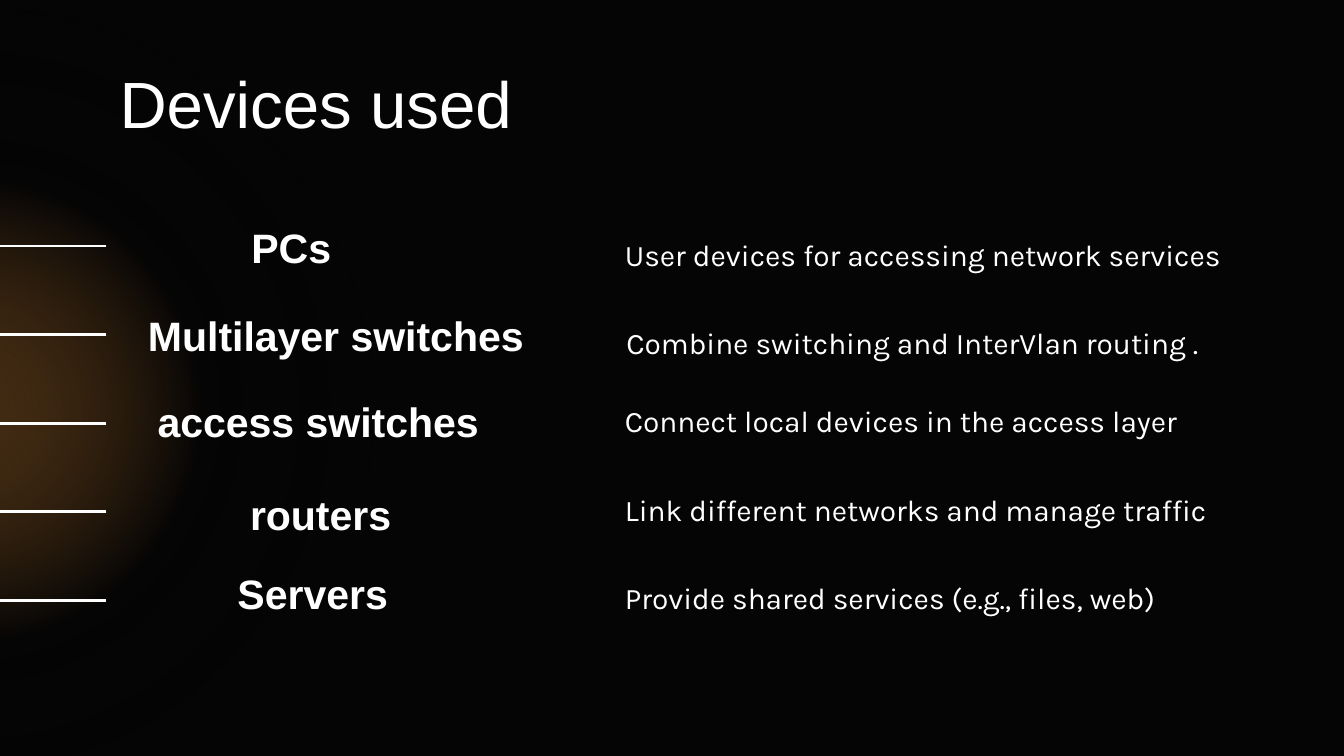
from dataclasses import dataclass

from lxml import etree
from pptx import Presentation
from pptx import util as u
from pptx.dml.color import RGBColor
from pptx.enum import shapes, text
from pptx.oxml.ns import qn


@dataclass(frozen=True)
class Theme:
    background: str = "050505"
    ink: str = "FFFFFF"
    heading_font: str = "Arial"
    body_font: str = "Karla"
    title_size: int = 35
    name_size: int = 22
    note_size: int = 16
    line_width: float = 1.5
    inset: float = 0.25
    # Position, colour and opacity, all in percent where numeric
    glow: tuple = ((0, "E69138", 27), (41, "050505", 54),
                   (78, "050505", 0), (100, "050505", 0))


class DeckBuilder:
    def __init__(self, theme, width, height):
        self.theme = theme
        self.deck = Presentation()
        self.deck.slide_width, self.deck.slide_height = u.Cm(width), u.Cm(height)
        self.page = self.deck.slides.add_slide(self.deck.slide_layouts[6])
        fill = self.page.background.fill
        fill.solid()
        fill.fore_color.rgb = RGBColor.from_string(theme.background)

    def glow(self, left, top, size):
        """Circle with a radial gradient that fades to transparent."""
        circle = self.page.shapes.add_shape(
            shapes.MSO_SHAPE.OVAL, u.Cm(left), u.Cm(top), u.Cm(size), u.Cm(size))
        circle.shadow.inherit = False
        circle.line.fill.background()
        circle.fill.gradient()
        gradient = circle.fill._xPr.find(qn("a:gradFill"))
        for child in list(gradient):
            gradient.remove(child)
        stops = etree.SubElement(gradient, qn("a:gsLst"))
        for position, color, opacity in self.theme.glow:
            stop = etree.SubElement(stops, qn("a:gs"), pos=str(position * 1000))
            tint = etree.SubElement(stop, qn("a:srgbClr"), val=color)
            etree.SubElement(tint, qn("a:alpha"), val=str(opacity * 1000))
        radial = etree.SubElement(gradient, qn("a:path"), path="circle")
        etree.SubElement(radial, qn("a:fillToRect"),
                         {side: "50000" for side in "ltrb"})

    def label(self, content, place, font, size, bold=False, extra_right=0,
              anchor=text.MSO_ANCHOR.MIDDLE, **paragraph_format):
        box = self.page.shapes.add_textbox(*(u.Cm(length) for length in place))
        frame = box.text_frame
        inset = self.theme.inset
        frame_format = {
            "word_wrap": True,
            "vertical_anchor": anchor,
            "margin_left": u.Cm(inset),
            "margin_top": u.Cm(inset),
            "margin_right": u.Cm(inset + extra_right),
            "margin_bottom": u.Cm(inset),
        }
        for name, value in frame_format.items():
            setattr(frame, name, value)
        para = frame.paragraphs[0]
        for name, value in paragraph_format.items():
            setattr(para, name, value)
        span = para.add_run()
        span.text = content
        for name, value in {"name": font, "size": u.Pt(size), "bold": bold}.items():
            setattr(span.font, name, value)
        span.font.color.rgb = RGBColor.from_string(self.theme.ink)

    def rule(self, start, end, y):
        line = self.page.shapes.add_connector(
            shapes.MSO_CONNECTOR.STRAIGHT, u.Cm(start), u.Cm(y), u.Cm(end), u.Cm(y))
        line.line.width = u.Pt(self.theme.line_width)
        line.line.color.rgb = RGBColor.from_string(self.theme.ink)
        etree.SubElement(line._element.spPr, qn("a:effectLst"))

    def save(self):
        self.deck.save("out.pptx")


# Device name, (left, top, width), extra right inset; note, (left, top, width)
DEVICES = [
    ("PCs", (2.29, 4.21, 6.86), 0.43,
     "User devices for accessing network services", (11.56, 4.34, 12.17)),
    ("Multilayer switches", (2.49, 5.87, 7.72), 0,
     "Combine switching and InterVlan routing .", (11.59, 6.01, 14.58)),
    ("access switches", (2.29, 7.49, 7.67), 0.22,
     "Connect local devices in the access layer", (11.56, 7.48, 11.84)),
    ("routers", (2.39, 9.25, 7.34), 0,
     "Link different networks and manage traffic", (11.56, 9.17, 11.84)),
    ("Servers", (2.29, 10.74, 7.67), 0.43,
     "Provide shared services (e.g., files, web)", (11.56, 10.82, 11.43)),
]
ROW_HEIGHT = 0.94
FIRST_RULE, LAST_RULE = 4.65, 11.35
RULE_PITCH = (LAST_RULE - FIRST_RULE) / (len(DEVICES) - 1)


def main():
    theme = Theme()
    builder = DeckBuilder(theme, 25.4, 14.29)

    # Glow and title
    builder.glow(-8.18, 0.15, 15.21)
    builder.label("Devices used", (2.01, 1.24, 21.41, 1.6), theme.heading_font,
                  theme.title_size, anchor=text.MSO_ANCHOR.TOP, line_spacing=0.8)

    # Device rows with a rule at the left edge
    for row, (device, name_place, gap, note, note_place) in enumerate(DEVICES):
        builder.label(device, (*name_place, ROW_HEIGHT), theme.heading_font,
                      theme.name_size, bold=True, extra_right=gap,
                      alignment=text.PP_ALIGN.CENTER)
        builder.label(note, (*note_place, ROW_HEIGHT), theme.body_font,
                      theme.note_size)
        builder.rule(2.01, -0.2, FIRST_RULE + row * RULE_PITCH)

    builder.save()


if __name__ == "__main__":
    main()
